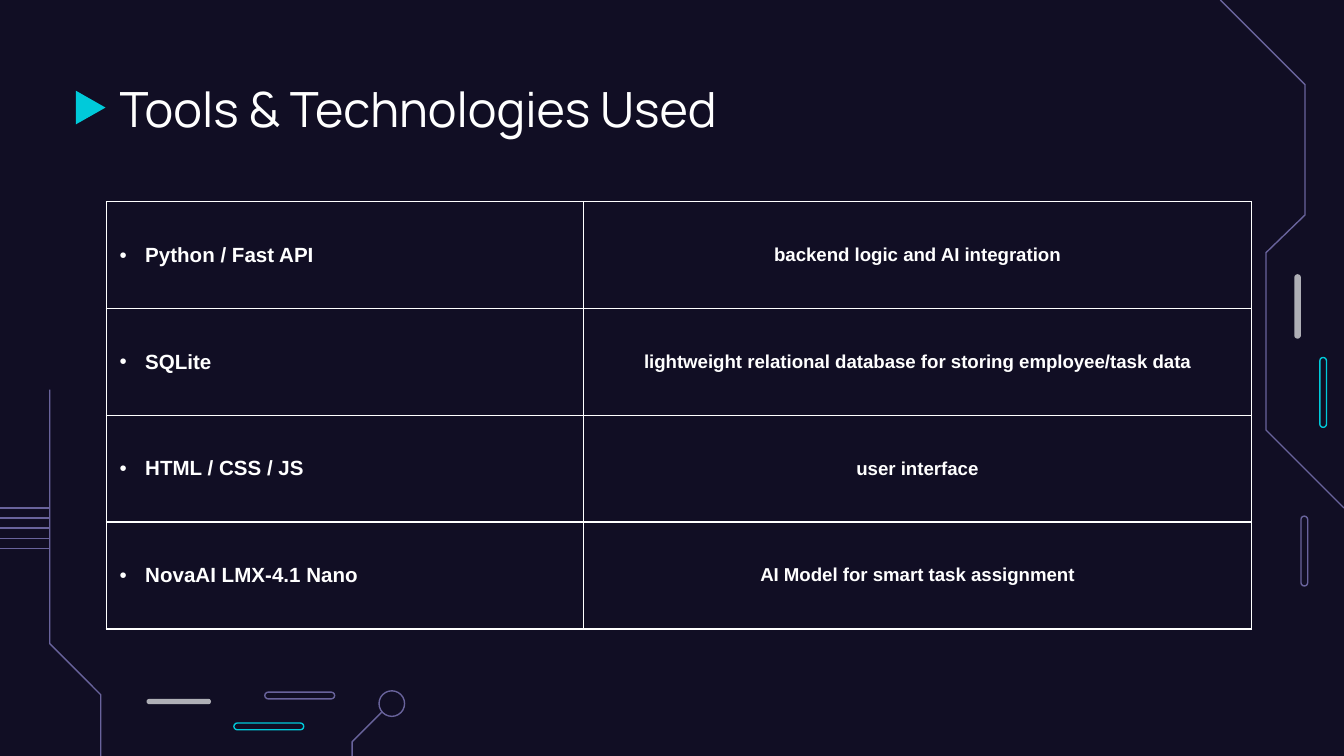
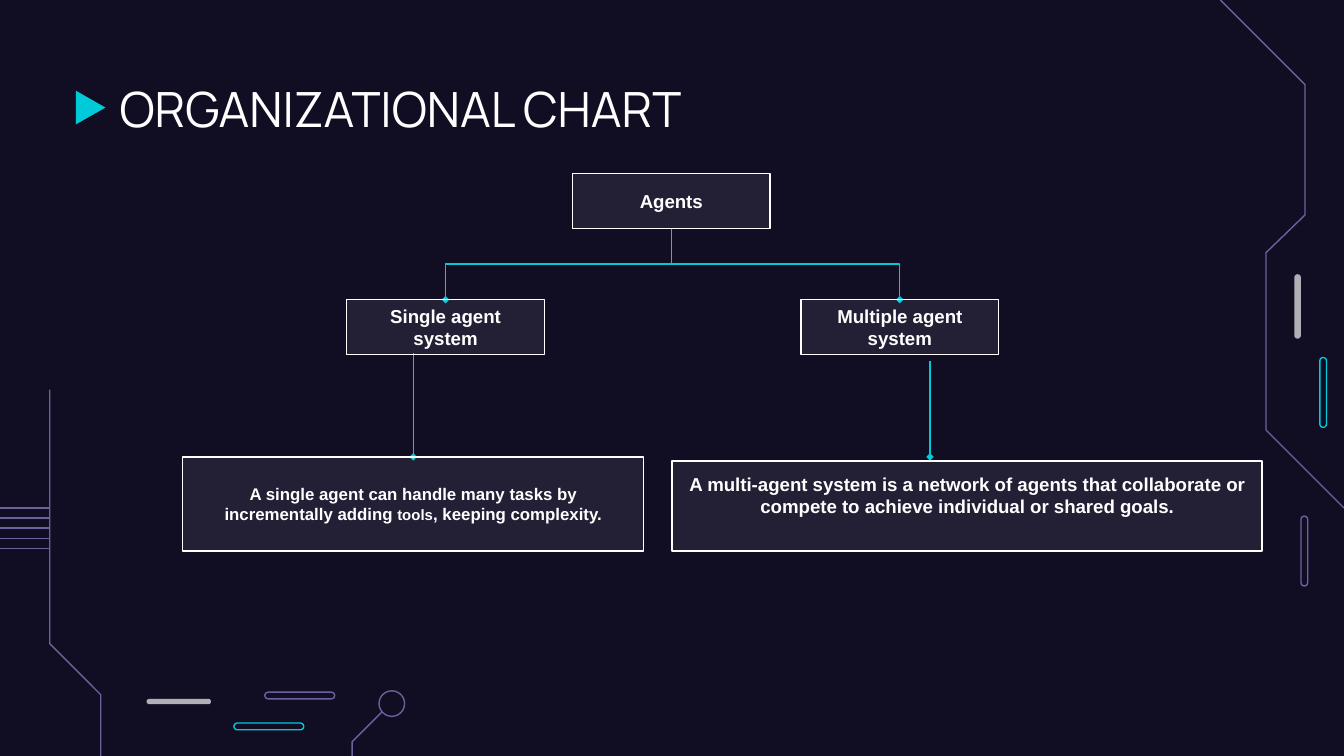
from lxml import etree
from pptx import Presentation
from pptx import util as u
from pptx.dml import color
from pptx.enum import shapes, text
from pptx.oxml import ns

COLORS = {"night": "110E24", "white": "FFFFFF", "cyan": "00CADA", "violet": "69639C", "gray": "AFAFB6"}
WIDTH = 10
HEIGHT = WIDTH * 9 / 16
LINE = 0.75

PILLS = [
    ((9.63, 2.04, 0.05, 0.48), "gray", None),
    ((1.09, 5.2, 0.48, 0.04), "gray", None),
    ((9.82, 2.66, 0.05, 0.52), None, "cyan"),
    ((9.68, 3.84, 0.05, 0.52), None, "violet"),
    ((1.74, 5.38, 0.52, 0.05), None, "cyan"),
    ((1.97, 5.15, 0.52, 0.05), None, "violet"),
]
CIRCUITS = [
    [(10, 3.78), (9.42, 3.2), (9.42, 1.88), (9.71, 1.6), (9.71, 0.63), (9.08, 0)],
    [(0.75, HEIGHT), (0.75, 5.17), (0.37, 4.79), (0.37, 2.9)],
    [(2.84, 5.3), (2.62, 5.52), (2.62, HEIGHT)],
]
TITLE_AT = (0.79, 0.49, 8.43, 0.63)

TOOLS_TITLE = "Tools & Technologies Used"
TOOLS = [
    ("Python / Fast API", "backend logic and AI integration"),
    ("SQLite", "lightweight relational database for storing employee/task data"),
    ("HTML / CSS / JS", "user interface"),
    ("NovaAI LMX-4.1 Nano", "AI Model for smart task assignment"),
]
TABLE_AT = (0.79, 1.5, 8.52, 3.18)
COLUMNS = (3.55, 4.97)

CHART_TITLE = "ORGANIZATIONAL CHART"
NODES = {
    "agents": ((4.26, 1.29, 1.47, 0.41), [("Agents", 10)], 0.1),
    "single": ((2.58, 2.23, 1.47, 0.41), [("Single agent system", 10)], 0.1),
    "multiple": ((5.96, 2.23, 1.47, 0.41), [("Multiple agent system", 10)], 0.1),
    "multiple goal": ((5, 3.43, 4.39, 0.67), [
        ("A multi-agent system is a network of agents that collaborate or compete "
         "to achieve individual or shared goals.", 10)], 0.26),
    "single goal": ((1.36, 3.4, 3.43, 0.7), [
        ("A single agent can handle many tasks by incrementally adding ", 9),
        ("tools", 8), (", keeping complexity.", 9)], 0.1),
}
BRANCHES = [("agents", "single"), ("agents", "multiple")]
DROPS = [((3.07, 2.63), (3.07, 3.4), "single goal"), ((6.92, 2.69), (6.92, 3.4), None)]


def rgb(name):
    return color.RGBColor.from_string(COLORS[name])


def inches(values):
    return [u.Inches(value) for value in values]


def assign(target, values):
    for name, value in values.items():
        setattr(target, name, value)


def child(parent, tag, **attributes):
    return etree.SubElement(parent, ns.qn(tag), attributes)


def write(para, content, size, font="Arial", bold=True, align=text.PP_ALIGN.CENTER):
    para.alignment = align
    span = para.add_run()
    span.text = content
    assign(span.font, {"name": font, "size": u.Pt(size), "bold": bold})
    span.font.color.rgb = rgb("white")


def paint(shape, fill=None, line=None):
    shape.shadow.inherit = False
    if fill:
        shape.fill.solid()
        shape.fill.fore_color.rgb = rgb(fill)
    else:
        shape.fill.background()
    if line:
        shape.line.color.rgb = rgb(line)
        shape.line.width = u.Pt(LINE)
    else:
        shape.line.fill.background()


def add_box(page, kind, at, fill=None, line=None):
    box = page.shapes.add_shape(kind, *inches(at))
    paint(box, fill, line)
    return box


def add_line(page, start, end, line, kind=shapes.MSO_CONNECTOR.STRAIGHT, diamond=False):
    connector = page.shapes.add_connector(kind, *inches(start + end))
    connector.line.color.rgb = rgb(line)
    connector.line.width = u.Pt(LINE)
    properties = connector._element.spPr
    if diamond:
        child(properties.find(ns.qn("a:ln")), "a:tailEnd", type="diamond", w="sm", len="sm")
    child(properties, "a:effectLst")
    return connector


def add_branch(page, start, end):
    (x1, y1), (x2, y2) = start, end
    middle_x, middle_y = (x1 + x2) / 2, (y1 + y2) / 2
    half_width, half_height = (y2 - y1) / 2, abs(x2 - x1) / 2
    side = 1 if x2 > x1 else -1
    connector = add_line(
        page, (middle_x + side * half_width, middle_y - half_height),
        (middle_x - side * half_width, middle_y + half_height),
        "cyan", shapes.MSO_CONNECTOR.ELBOW, True)
    degrees = 270 if side > 0 else 90
    connector._element.spPr.xfrm.set("rot", str(degrees * 60000))
    return connector


def decorate(page):
    for at, fill, line in PILLS:
        add_box(page, shapes.MSO_SHAPE.ROUNDED_RECTANGLE, at, fill, line).adjustments[0] = 0.5
    marker = add_box(page, shapes.MSO_SHAPE.FLOWCHART_MERGE, (0.55, 0.69, 0.25, 0.22), "cyan")
    marker.rotation = 270
    for points in CIRCUITS:
        start, *others = [inches(point) for point in points]
        builder = page.shapes.build_freeform(*start)
        builder.add_line_segments(others, close=False)
        paint(builder.convert_to_shape(), line="violet")
    for index in range(5):
        y = 3.78 + index * 0.3 / 4
        add_line(page, (0, y), (0.37, y), "violet")
    add_box(page, shapes.MSO_SHAPE.OVAL, (2.82, 5.14, 0.19, 0.19), line="violet")


def add_page(deck, title):
    page = deck.slides.add_slide(deck.slide_layouts[5])
    heading = page.shapes.title
    assign(heading, dict(zip(("left", "top", "width", "height"), inches(TITLE_AT))))
    frame = heading.text_frame
    assign(frame, {"auto_size": text.MSO_AUTO_SIZE.NONE, "word_wrap": True,
                   "vertical_anchor": text.MSO_ANCHOR.MIDDLE})
    assign(frame, {f"margin_{side}": u.Inches(0.1) for side in ("left", "right", "top", "bottom")})
    write(frame.paragraphs[0], title, 26, "Manrope", False, text.PP_ALIGN.LEFT)
    decorate(page)
    return page


def format_cell(cell):
    cell.fill.solid()
    cell.fill.fore_color.rgb = rgb("night")
    cell.vertical_anchor = text.MSO_ANCHOR.MIDDLE
    assign(cell, {f"margin_{side}": u.Inches(0.1) for side in ("left", "right", "top", "bottom")})
    properties = cell._tc.get_or_add_tcPr()
    for index, side in enumerate("LRTB"):
        border = child(properties, f"a:ln{side}", w=str(u.Pt(LINE)))
        child(child(border, "a:solidFill"), "a:srgbClr", val=COLORS["white"])
        properties.insert(index, border)


def add_bullet(para):
    properties = para._p.get_or_add_pPr()
    indent = u.Inches(0.19)
    properties.set("marL", str(indent))
    properties.set("indent", str(-indent))
    child(child(properties, "a:buClr"), "a:srgbClr", val=COLORS["white"])
    child(properties, "a:buFont", typeface="Arial")
    child(properties, "a:buChar", char="•")


def build_tools(deck):
    page = add_page(deck, TOOLS_TITLE)
    table = page.shapes.add_table(len(TOOLS), len(COLUMNS), *inches(TABLE_AT)).table
    assign(table, {"first_row": False, "horz_banding": False})
    for column, width in zip(table.columns, COLUMNS):
        column.width = u.Inches(width)
    for row, (tool, purpose) in zip(table.rows, TOOLS):
        row.height = u.Inches(TABLE_AT[3] / len(TOOLS))
        for cell in row.cells:
            format_cell(cell)
        name, use = [cell.text_frame.paragraphs[0] for cell in row.cells]
        write(name, tool, 11, align=text.PP_ALIGN.LEFT)
        add_bullet(name)
        write(use, purpose, 10)


def add_node(page, at, spans, bottom):
    box = add_box(page, shapes.MSO_SHAPE.RECTANGLE, at, "white", "white")
    tint = box._element.spPr.find(ns.qn("a:solidFill"))
    child(tint[0], "a:alpha", val="8000")
    frame = box.text_frame
    assign(frame, {"word_wrap": True, "vertical_anchor": text.MSO_ANCHOR.MIDDLE})
    assign(frame, {f"margin_{side}": u.Inches(0.1) for side in ("left", "right", "top")})
    frame.margin_bottom = u.Inches(bottom)
    for content, size in spans:
        write(frame.paragraphs[0], content, size)
    return box


def build_chart(deck):
    page = add_page(deck, CHART_TITLE)
    boxes = {name: add_node(page, *node) for name, node in NODES.items()}
    connectors = []
    for parent, target in BRANCHES:
        left, top, width, height = NODES[parent][0]
        target_left, target_top, target_width, _ = NODES[target][0]
        connectors.append(add_branch(
            page, (left + width / 2, top + height), (target_left + target_width / 2, target_top)))
    for start, end, target in DROPS:
        connector = add_line(page, start, end, "cyan", diamond=True)
        if target:
            connector.end_connect(boxes[target], 0)
            connector.begin_x = connector.end_x
        connectors.append(connector)
    for connector in connectors:
        boxes["agents"]._element.addprevious(connector._element)


def main():
    deck = Presentation()
    assign(deck, {"slide_width": u.Inches(WIDTH), "slide_height": u.Inches(HEIGHT)})
    backdrop = deck.slide_master.background.fill
    backdrop.solid()
    backdrop.fore_color.rgb = rgb("night")
    build_tools(deck)
    build_chart(deck)
    deck.save("out.pptx")


if __name__ == "__main__":
    main()
